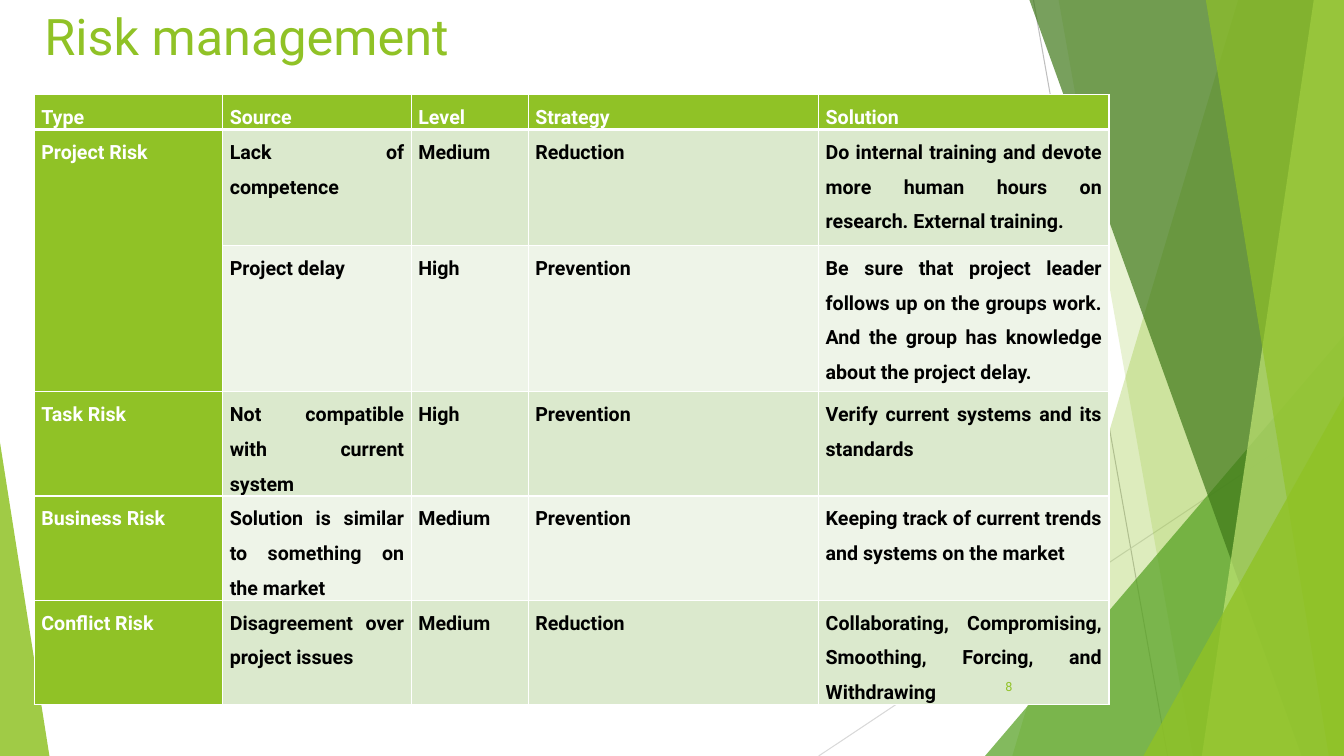
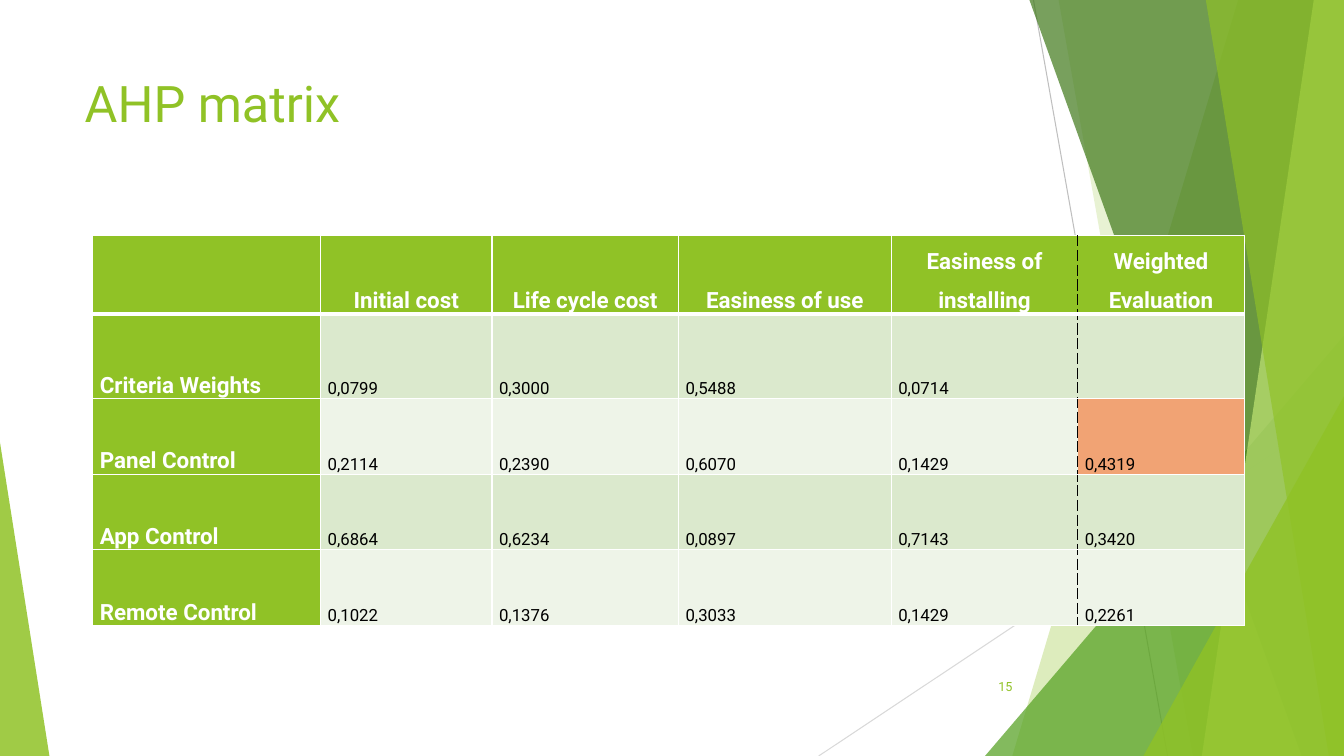
from lxml import etree
from pptx import Presentation
from pptx.dml.color import RGBColor
from pptx.enum.shapes import MSO_CONNECTOR, MSO_SHAPE
from pptx.enum.text import MSO_ANCHOR, MSO_AUTO_SIZE, PP_ALIGN
from pptx.oxml.ns import qn
from pptx.util import Pt

PX = 9144  # EMU per px, 100 px to the inch
WIDTH, HEIGHT = 1333, 750
FONT = "Roboto"
TITLE_ONLY = 5

STRAIGHT, TRIANGLE = MSO_CONNECTOR.STRAIGHT, MSO_SHAPE.ISOSCELES_TRIANGLE
TOP, MIDDLE, BOTTOM = MSO_ANCHOR.TOP, MSO_ANCHOR.MIDDLE, MSO_ANCHOR.BOTTOM
LEFT, CENTER, RIGHT, JUSTIFY = PP_ALIGN.LEFT, PP_ALIGN.CENTER, PP_ALIGN.RIGHT, PP_ALIGN.JUSTIFY
NO_AUTOFIT = MSO_AUTO_SIZE.NONE

GREEN = RGBColor(0x90, 0xC2, 0x26)
MID_GREEN = RGBColor(0x54, 0xA0, 0x21)
DARK_GREEN = RGBColor(0x3F, 0x78, 0x19)
LIGHT_GREEN = RGBColor(0xC0, 0xE4, 0x74)
ROW_ODD = RGBColor(0xDB, 0xE9, 0xCD)
ROW_EVEN = RGBColor(0xEE, 0xF4, 0xE8)
ORANGE = RGBColor(0xF1, 0xA3, 0x74)
GREY = RGBColor(0xBF, 0xBF, 0xBF)
PALE_GREY = RGBColor(0xD9, 0xD9, 0xD9)
WHITE = RGBColor(0xFF, 0xFF, 0xFF)
BLACK = RGBColor(0, 0, 0)

# Backdrop: lines as (x1, y1, x2, y2, colour)
BACK_LINES = [(1025, 0, 1158, 750, GREY), (1333, 403, 812, 750, PALE_GREY)]
# Facets from back to front: (geometry, colour, opacity in percent).
# Two numbers: top and bottom x of a band that reaches the right edge.
# Four numbers: left, top, width and apex of a triangle on the bottom edge.
FACETS = [
    ((1228, 1004), GREEN, 30),
    ((1050, 1183), GREEN, 20),
    ((977, 333, 356, 1), MID_GREEN, 72),
    ((1021, 1291), DARK_GREEN, 70),
    ((1303, 1192), LIGHT_GREEN, 70),
    ((1196, 1318), GREEN, 65),
    ((1134, 393, 199, 1), GREEN, 80),
    ((0, 439, 49, 0), GREEN, 85),
]

RISK = {
    "title": "Risk management", "title_box": (34, 0, 1150, 145), "number": "8",
    "corner": (34, 94),
    "columns": [187, 187, 116, 288, 288],
    "row_heights": [26, 115, 145, 86, 86, 86],
    "rows": [
        ["Type", "Source", "Level", "Strategy", "Solution"],
        ["Project Risk", "Lack of competence", "Medium", "Reduction",
         "Do internal training and devote more human hours on research. External training."],
        ["", "Project delay", "High", "Prevention",
         "Be sure that project leader follows up on the groups work. "
         "And the group has knowledge about the project delay."],
        ["Task Risk", "Not compatible with current system", "High", "Prevention",
         "Verify current systems and its standards"],
        ["Business Risk", "Solution is similar to something on the market", "Medium",
         "Prevention", "Keeping track of current trends and systems on the market"],
        ["Conflict Risk", "Disagreement over project issues", "Medium", "Reduction",
         "Collaborating, Compromising, Smoothing, Forcing, and Withdrawing"],
    ],
    "merge": ((1, 0), (2, 0)),
    "head_size": 14, "body_size": 14, "body_bold": True,
    "head_align": JUSTIFY, "anchor": TOP,
}
AHP = {
    "title": "AHP matrix", "title_box": (74, 67, 940, 144), "number": "15",
    "corner": (92, 234),
    "columns": [226, 170, 185, 211, 185, 165],
    "row_heights": [75, 84, 75, 75, 75],
    "rows": [
        ["", "Initial cost", "Life cycle cost", "Easiness of use",
         "Easiness of installing", "Weighted Evaluation"],
        ["Criteria Weights", "0,0799", "0,3000", "0,5488", "0,0714", ""],
        ["Panel Control", "0,2114", "0,2390", "0,6070", "0,1429", "0,4319"],
        ["App Control", "0,6864", "0,6234", "0,0897", "0,7143", "0,3420"],
        ["Remote Control", "0,1022", "0,1376", "0,3033", "0,1429", "0,2261"],
    ],
    "dashed_before": 5, "highlight": (2, 5), "top_cell": (0, 5),
    "head_size": 16, "body_size": 12, "body_bold": False,
    "head_align": CENTER, "anchor": BOTTOM,
}


def px(*lengths):
    return [length * PX for length in lengths]


def write(frame, text, size, color, bold=False, align=LEFT, spacing=1.0):
    para = frame.paragraphs[0]
    para.alignment, para.line_spacing = align, spacing
    span = para.add_run()
    span.text = text
    span.font.name, span.font.size = FONT, Pt(size)
    span.font.bold, span.font.color.rgb = bold, color


def paint(shape, color, opacity):
    shape.shadow.inherit = False
    shape.fill.solid()
    shape.fill.fore_color.rgb = color
    shape.line.fill.background()
    tint = shape._element.spPr.find(qn("a:solidFill")).find(qn("a:srgbClr"))
    etree.SubElement(tint, qn("a:alpha"), val=str(opacity * 1000))


def add_backdrop(page):
    shapes = page.shapes.add_group_shape().shapes
    for *ends, color in BACK_LINES:
        line = shapes.add_connector(STRAIGHT, *px(*ends))
        line.line.color.rgb, line.line.width = color, Pt(0.75)
        etree.SubElement(line._element.spPr, qn("a:effectLst"))
    for geometry, color, opacity in FACETS:
        if len(geometry) == 2:
            top_x, bottom_x = geometry
            outline = shapes.build_freeform(top_x, 0, scale=PX)
            outline.add_line_segments([(WIDTH, 0), (WIDTH, HEIGHT), (bottom_x, HEIGHT)])
            facet = outline.convert_to_shape()
        else:
            left, top, width, apex = geometry
            facet = shapes.add_shape(TRIANGLE, *px(left, top, width, HEIGHT - top))
            facet.adjustments[0] = apex
        paint(facet, color, opacity)


def set_borders(cell, row, column, dashed_before):
    edges = {
        "L": (1, column == dashed_before),
        "R": (1, column + 1 == dashed_before),
        "T": (3 if row == 1 else 1, False),
        "B": (3 if row == 0 else 1, False),
    }
    properties = cell._tc.get_or_add_tcPr()
    for side, (points, dashed) in edges.items():
        edge = etree.SubElement(properties, qn(f"a:ln{side}"), w=str(Pt(points)))
        fill = etree.SubElement(edge, qn("a:solidFill"))
        etree.SubElement(fill, qn("a:srgbClr"), val=str(BLACK if dashed else WHITE))
        etree.SubElement(edge, qn("a:prstDash"), val="sysDash" if dashed else "solid")


def cell_fill(row, column, highlight):
    if row == 0 or column == 0:
        return GREEN
    if (row, column) == highlight:
        return ORANGE
    return ROW_ODD if row % 2 else ROW_EVEN


def add_grid(page, content):
    rows, columns, heights = content["rows"], content["columns"], content["row_heights"]
    table = page.shapes.add_table(
        len(rows), len(columns),
        *px(*content["corner"], sum(columns), sum(heights))).table
    table.first_row = table.horz_banding = False
    for column, width in zip(table.columns, columns):
        column.width = width * PX
    for row, height in zip(table.rows, heights):
        row.height = height * PX

    for r, texts in enumerate(rows):
        for c, text in enumerate(texts):
            cell = table.cell(r, c)
            set_borders(cell, r, c, content.get("dashed_before"))
            cell.fill.solid()
            cell.fill.fore_color.rgb = cell_fill(r, c, content.get("highlight"))
            cell.margin_left = cell.margin_right = 7 * PX
            cell.margin_top = cell.margin_bottom = 0
            cell.vertical_anchor = TOP if (r, c) == content.get("top_cell") else content["anchor"]
            if text:
                head = r == 0 or c == 0
                write(cell.text_frame, text,
                      size=content["head_size" if head else "body_size"],
                      color=WHITE if head else BLACK,
                      bold=head or content["body_bold"],
                      align=content["head_align"] if r == 0 else JUSTIFY,
                      spacing=1.5)
    if "merge" in content:
        first, last = content["merge"]
        table.cell(*first).merge(table.cell(*last))


def add_page(deck, content):
    page = deck.slides.add_slide(deck.slide_layouts[TITLE_ONLY])
    add_backdrop(page)

    # Title
    title = page.shapes.title
    title.left, title.top, title.width, title.height = px(*content["title_box"])
    title.text_frame.vertical_anchor = TOP
    title.text_frame.auto_size = NO_AUTOFIT
    write(title.text_frame, content["title"], size=36, color=GREEN)

    add_grid(page, content)

    # Page number
    box = page.shapes.add_textbox(*px(939, 661, 75, 40))
    box.text_frame.word_wrap = True
    box.text_frame.vertical_anchor = MIDDLE
    write(box.text_frame, content["number"], size=9, color=GREEN, align=RIGHT)


def main():
    deck = Presentation()
    deck.slide_width, deck.slide_height = px(WIDTH, HEIGHT)
    for content in (RISK, AHP):
        add_page(deck, content)
    deck.save("out.pptx")


if __name__ == "__main__":
    main()
